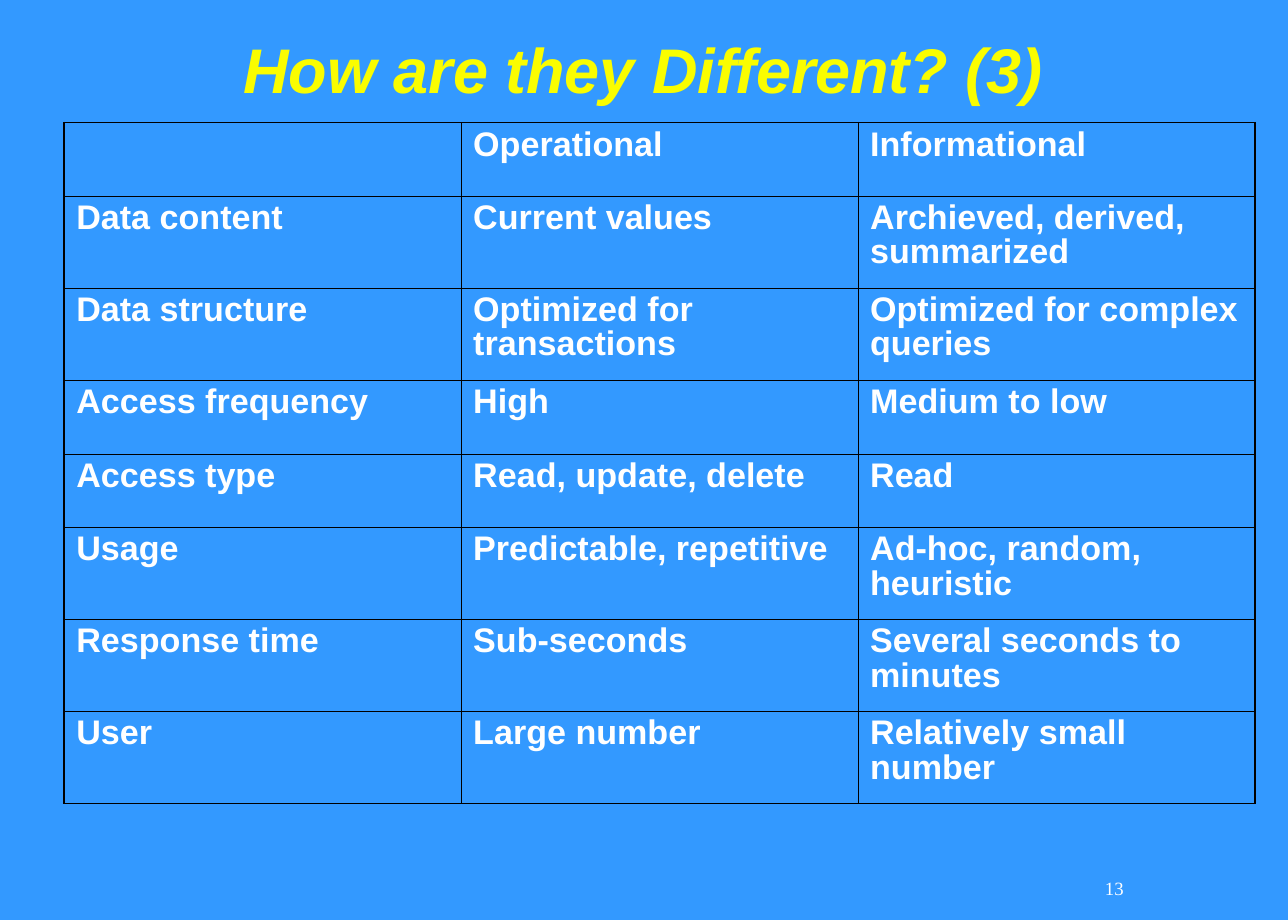
from dataclasses import dataclass

from lxml import etree
from pptx import Presentation
from pptx import util as u
from pptx.dml.color import RGBColor
from pptx.enum import text as t
from pptx.oxml import ns

COLORS = {"background": "3399FF", "title": "FAFD00", "text": "FFFFFF", "border": "000000"}
OUTER, INNER = 1.08, 0.45  # border widths in points
SHORT, TALL = 43.2, 54  # row heights in points
COLUMN_WIDTH = 233


@dataclass
class Comparison:
    aspect: str
    operational: str
    informational: str
    height: float = TALL


@dataclass
class TextStyle:
    font: str
    size: float
    color: str
    bold: bool = False
    italic: bool = False


TITLE = TextStyle("Arial", 37, "title", bold=True, italic=True)
CELL = TextStyle("Arial", 20, "text", bold=True)
NUMBER = TextStyle("Times New Roman", 11, "text")

COMPARISONS = [
    Comparison("", "Operational", "Informational", SHORT),
    Comparison("Data content", "Current values", "Archieved, derived, summarized"),
    Comparison("Data structure", "Optimized for transactions", "Optimized for complex queries"),
    Comparison("Access frequency", "High", "Medium to low", SHORT),
    Comparison("Access type", "Read, update, delete", "Read", SHORT),
    Comparison("Usage", "Predictable, repetitive", "Ad-hoc, random, heuristic"),
    Comparison("Response time", "Sub-seconds", "Several seconds to minutes"),
    Comparison("User", "Large number", "Relatively small number"),
]


def write(frame, wording: str, style: TextStyle, align=t.PP_ALIGN.LEFT):
    """Fill a text frame with one formatted paragraph and return it."""
    frame.text = wording
    paragraph = frame.paragraphs[0]
    paragraph.alignment = align
    for font in [paragraph.font] + [run.font for run in paragraph.runs]:
        font.name, font.size = style.font, u.Pt(style.size)
        font.bold, font.italic = style.bold, style.italic
        font.color.rgb = RGBColor.from_string(COLORS[style.color])
    return paragraph


def add_borders(cell, widths: dict[str, float]) -> None:
    """Draw the cell's edges, given widths by side letter."""
    properties = cell._tc.get_or_add_tcPr()
    for side, width in widths.items():
        line = etree.SubElement(properties, ns.qn(f"a:ln{side}"), w=str(u.Pt(width)))
        fill = etree.SubElement(line, ns.qn("a:solidFill"))
        etree.SubElement(fill, ns.qn("a:srgbClr"), val=COLORS["border"])


def add_comparison_table(slide, comparisons: list[Comparison]) -> None:
    total_height = sum(item.height for item in comparisons)
    table = slide.shapes.add_table(
        len(comparisons), 3, u.Pt(37.6), u.Pt(72), u.Pt(3 * COLUMN_WIDTH), u.Pt(total_height)
    ).table
    table.first_row = table.horz_banding = False
    for column in table.columns:
        column.width = u.Pt(COLUMN_WIDTH)

    last_row, last_column = len(comparisons) - 1, 2
    for r, item in enumerate(comparisons):
        table.rows[r].height = u.Pt(item.height)
        for c, wording in enumerate((item.aspect, item.operational, item.informational)):
            cell = table.cell(r, c)
            paragraph = write(cell.text_frame, wording, CELL)
            paragraph.line_spacing, paragraph.space_before = 0.9, u.Pt(7.5)
            add_borders(cell, {
                "L": OUTER if c == 0 else INNER,
                "R": OUTER if c == last_column else INNER,
                "T": OUTER if r == 0 else INNER,
                "B": OUTER if r == last_row else INNER,
            })
            cell.fill.background()


def main() -> None:
    deck = Presentation()
    deck.slide_width, deck.slide_height = u.Pt(756), u.Pt(540)
    slide = deck.slides.add_slide(deck.slide_layouts[5])
    slide.background.fill.solid()
    slide.background.fill.fore_color.rgb = RGBColor.from_string(COLORS["background"])

    # Title
    heading = slide.shapes.title
    heading.left, heading.top = u.Pt(16.6), u.Pt(10.8)
    heading.width, heading.height = u.Pt(722), u.Pt(55.4)
    heading.text_frame.auto_size = t.MSO_AUTO_SIZE.NONE
    heading.text_frame.vertical_anchor = t.MSO_ANCHOR.BOTTOM
    write(heading.text_frame, "How are they Different? (3)", TITLE, t.PP_ALIGN.CENTER).line_spacing = 0.9

    # Operational and informational systems compared
    add_comparison_table(slide, COMPARISONS)

    # Page number
    page_number = slide.shapes.add_textbox(u.Pt(582.5), u.Pt(503.3), u.Pt(84.2), u.Pt(36))
    page_number.text_frame.word_wrap = False
    page_number.text_frame.vertical_anchor = t.MSO_ANCHOR.MIDDLE
    write(page_number.text_frame, "13", NUMBER, t.PP_ALIGN.RIGHT)

    deck.save("out.pptx")


if __name__ == "__main__":
    main()
